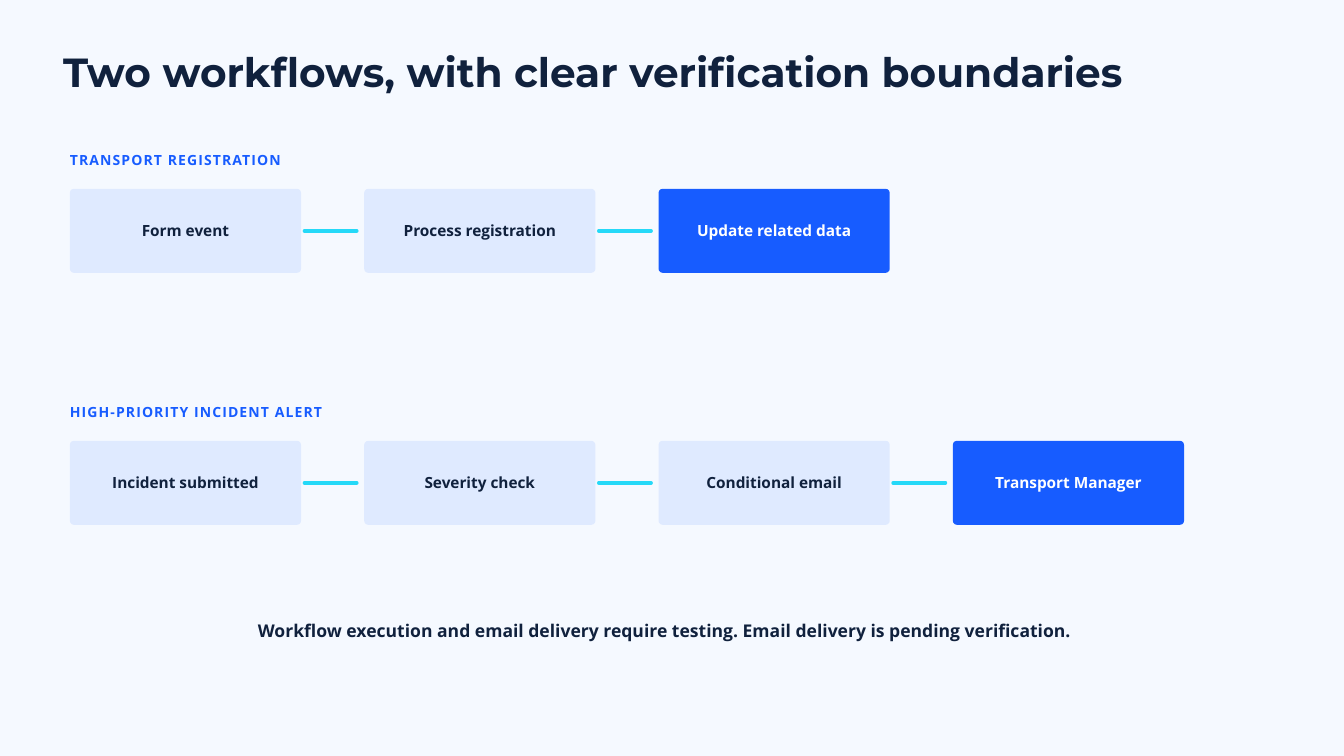
"""Build a slide showing two workflows as rows of connected steps."""
import pptx
import pptx.dml.color
import pptx.enum.shapes
import pptx.enum.text
import pptx.oxml.ns
import pptx.util
from lxml import etree

Inches = pptx.util.Inches
Pt = pptx.util.Pt
RGBColor = pptx.dml.color.RGBColor
PP_ALIGN = pptx.enum.text.PP_ALIGN
MSO_ANCHOR = pptx.enum.text.MSO_ANCHOR

BACKGROUND = RGBColor(0xF5, 0xF9, 0xFF)
NAVY = RGBColor(0x10, 0x21, 0x3D)
BLUE = RGBColor(0x17, 0x5C, 0xFF)
PALE_BLUE = RGBColor(0xDF, 0xEA, 0xFF)
CYAN = RGBColor(0x25, 0xD9, 0xF8)
WHITE = RGBColor(0xFF, 0xFF, 0xFF)

LEFT = 1.04
STEP_WIDTH = 3.44
STEP_HEIGHT = 1.25
STEP_PITCH = 4.38
CORNER_RADIUS = 0.06
LINK_OFFSET = 0.05
LINK_LENGTH = 0.78

WORKFLOWS = [
    (2.21, "TRANSPORT REGISTRATION",
     ["Form event", "Process registration", "Update related data"]),
    (5.96, "HIGH-PRIORITY INCIDENT ALERT",
     ["Incident submitted", "Severity check", "Conditional email", "Transport Manager"]),
]


def write_text(shape, text, size, line_height, color, font="Open Sans",
               align=PP_ALIGN.LEFT, margin=0, anchor=MSO_ANCHOR.TOP):
    frame = shape.text_frame
    frame.word_wrap = True
    frame.vertical_anchor = anchor
    frame.margin_left = frame.margin_right = Inches(margin)
    frame.margin_top = frame.margin_bottom = Inches(margin)
    paragraph = frame.paragraphs[0]
    paragraph.alignment = align
    paragraph.line_spacing = Pt(line_height)
    run = paragraph.add_run()
    run.text = text
    run.font.name = font
    run.font.size = Pt(size)
    run.font.bold = True
    run.font.color.rgb = color
    return run


def add_text_box(left, top, width, height):
    return slide.shapes.add_textbox(Inches(left), Inches(top), Inches(width), Inches(height))


presentation = pptx.Presentation()
presentation.slide_width = Inches(20)
presentation.slide_height = Inches(11.25)
slide = presentation.slides.add_slide(presentation.slide_layouts[6])
slide.background.fill.solid()
slide.background.fill.fore_color.rgb = BACKGROUND

title = add_text_box(0.94, 0.77, 18.12, 0.66)
write_text(title, "Two workflows, with clear verification boundaries", 43.5, 47, NAVY,
           font="Montserrat")

for heading_top, heading, steps in WORKFLOWS:
    heading_box = add_text_box(LEFT, heading_top, 6.77, 0.28)
    heading_run = write_text(heading_box, heading, 15, 21, BLUE)
    heading_run.font._element.set("spc", "120")

    step_top = heading_top + 0.6
    for index, step in enumerate(steps):
        is_last = index == len(steps) - 1
        step_left = LEFT + index * STEP_PITCH
        box = slide.shapes.add_shape(
            pptx.enum.shapes.MSO_SHAPE.ROUNDED_RECTANGLE,
            Inches(step_left), Inches(step_top), Inches(STEP_WIDTH), Inches(STEP_HEIGHT))
        box.adjustments[0] = CORNER_RADIUS / STEP_HEIGHT
        box.shadow.inherit = False
        box.fill.solid()
        box.fill.fore_color.rgb = BLUE if is_last else PALE_BLUE
        box.line.fill.background()
        write_text(box, step, 16.5, 19.8, WHITE if is_last else NAVY,
                   align=PP_ALIGN.CENTER, margin=0.06, anchor=MSO_ANCHOR.MIDDLE)
        if is_last:
            continue

        link_left = step_left + STEP_WIDTH + LINK_OFFSET
        link_y = Inches(step_top + STEP_HEIGHT / 2)
        link = slide.shapes.add_connector(
            pptx.enum.shapes.MSO_CONNECTOR.STRAIGHT,
            Inches(link_left), link_y, Inches(link_left + LINK_LENGTH), link_y)
        link.line.color.rgb = CYAN
        link.line.width = Pt(3.75)
        link.get_or_add_ln().set("cap", "rnd")
        etree.SubElement(link._element.spPr, pptx.oxml.ns.qn("a:effectLst"))

note = add_text_box(LEFT, 9.18, 17.71, 0.35)
write_text(note, "Workflow execution and email delivery require testing. "
           "Email delivery is pending verification.", 18.8, 26.2, NAVY, align=PP_ALIGN.CENTER)

presentation.save("out.pptx")
